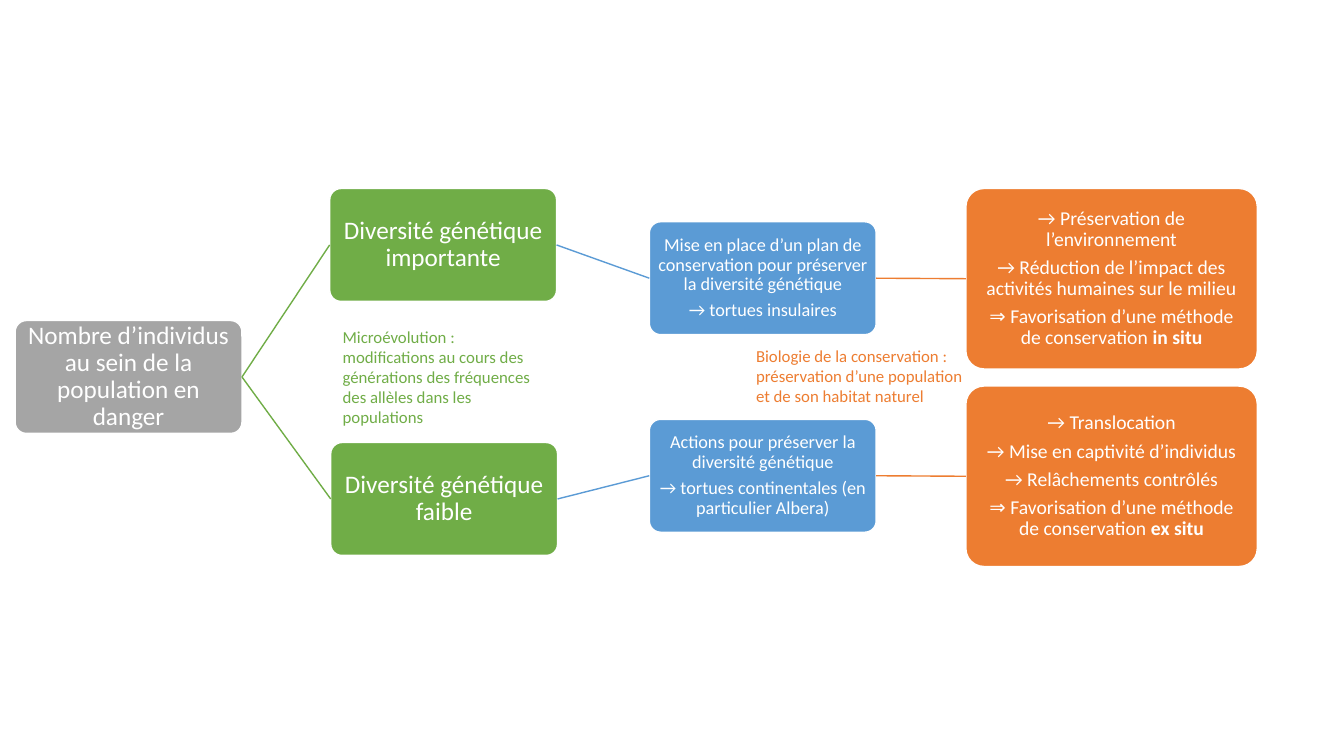
from pptx import Presentation
from pptx.dml.color import RGBColor
from pptx.enum.shapes import MSO_CONNECTOR, MSO_SHAPE
from pptx.enum.text import MSO_ANCHOR, PP_ALIGN
from pptx.oxml.ns import qn
from pptx.util import Pt
from lxml.etree import SubElement

PX = 9144  # 100 px to the inch
FONT = "Calibri"
COLORS = {
    "white": "FFFFFF",
    "danger": "A5A5A5",
    "diversity": "70AD47",
    "action": "5B9BD5",
    "method": "ED7D31",
}
TOP, LEFT, RIGHT = 0, 1, 3


def px(*lengths):
    return [length * PX for length in lengths]


def rgb(name):
    return RGBColor.from_string(COLORS[name])


def write(frame, paragraphs, size, color="white", align=PP_ALIGN.CENTER,
          line_spacing=0.9, after=0.35):
    """Fill a text frame; each paragraph is a list of (text, bold) runs."""
    frame.word_wrap = True
    for index, runs in enumerate(paragraphs):
        paragraph = frame.add_paragraph() if index else frame.paragraphs[0]
        paragraph.alignment = align
        paragraph.line_spacing = line_spacing
        paragraph.space_after = Pt(round(size * after, 1))
        for text, bold in runs:
            run = paragraph.add_run()
            run.text = text
            run.font.name = FONT
            run.font.size = Pt(size)
            run.font.bold = bold
            run.font.color.rgb = rgb(color)


def plain(*texts):
    return [[(text, False)] for text in texts]


def node(slide, box, color, paragraphs, size, inset=4):
    card = slide.shapes.add_shape(MSO_SHAPE.ROUNDED_RECTANGLE, *px(*box))
    card.adjustments[0] = 0.1
    card.shadow.inherit = False
    card.fill.solid()
    card.fill.fore_color.rgb = rgb(color)
    card.line.color.rgb = rgb("white")
    card.line.width = Pt(1)
    frame = card.text_frame
    frame.margin_left, frame.margin_top, frame.margin_right, frame.margin_bottom = px(*[inset] * 4)
    frame.vertical_anchor = MSO_ANCHOR.MIDDLE
    write(frame, paragraphs, size)
    return card


def branch(slide, parent, child, color):
    link = slide.shapes.add_connector(MSO_CONNECTOR.STRAIGHT, 0, 0, 0, 0)
    link.begin_connect(parent, RIGHT)
    link.end_connect(child, LEFT)
    link.line.color.rgb = rgb(color)
    link.line.width = Pt(1)
    SubElement(link._element.spPr, qn("a:effectLst"))


def definition(slide, box, text, color):
    note = slide.shapes.add_textbox(*px(*box))
    write(note.text_frame, plain(text), 12, color, PP_ALIGN.LEFT, 1.0, 0)


def pathway(slide, root, boxes, diversity, action, methods):
    """Draw one row of the tree: diversity, then action, then methods."""
    diversity_box, action_box, method_box = boxes
    steps = [
        ("diversity", node(slide, diversity_box, "diversity", plain(diversity), 18)),
        ("action", node(slide, action_box, "action", plain(*action), 13)),
        ("method", node(slide, method_box, "method", methods, 14, inset=6)),
    ]
    parent = root
    for color, child in steps:
        branch(slide, parent, child, color)
        parent = child


def conservation_tree(slide, left, top):
    """Place the whole tree from its top left corner."""
    width, height = 225, 112
    method_width, method_height = 289, 179

    def row(diversity_at, action_y, method_y):
        x, y = diversity_at
        return [
            (left + x, top + y, width, height),
            (left + 629, top + action_y, width, height),
            (left + 943, top + method_y, method_width, method_height),
        ]

    def favoured(method):
        return [("⇒ Favorisation d’une méthode de conservation ", False), (method, True)]

    root = node(slide, (left, top + 131, width, height), "danger",
                plain("Nombre d’individus au sein de la population en danger"), 18)
    pathway(
        slide, root, row((312, 0), 33, 0),
        "Diversité génétique importante",
        ["Mise en place d’un plan de conservation pour préserver la diversité génétique",
         "→ tortues insulaires"],
        plain("→ Préservation de l’environnement",
              "→ Réduction de l’impact des activités humaines sur le milieu")
        + [favoured("in situ")],
    )
    pathway(
        slide, root, row((313, 252), 229, 196),
        "Diversité génétique faible",
        ["Actions pour préserver la diversité génétique",
         "→ tortues continentales (en particulier Albera)"],
        plain("→ Translocation", "→ Mise en captivité d’individus",
              "→ Relâchements contrôlés")
        + [favoured("ex situ")],
    )
    definition(slide, (left + 315, top + 132, 213, 111),
               "Microévolution : modifications au cours des générations des fréquences "
               "des allèles dans les populations", "diversity")
    definition(slide, (left + 725, top + 151, 231, 73),
               "Biologie de la conservation : préservation d’une population "
               "et de son habitat naturel", "method")


def main():
    deck = Presentation()
    deck.slide_width, deck.slide_height = px(1333, 750)
    slide = deck.slides.add_slide(deck.slide_layouts[6])
    conservation_tree(slide, left=15, top=187)
    deck.save("out.pptx")


if __name__ == "__main__":
    main()
